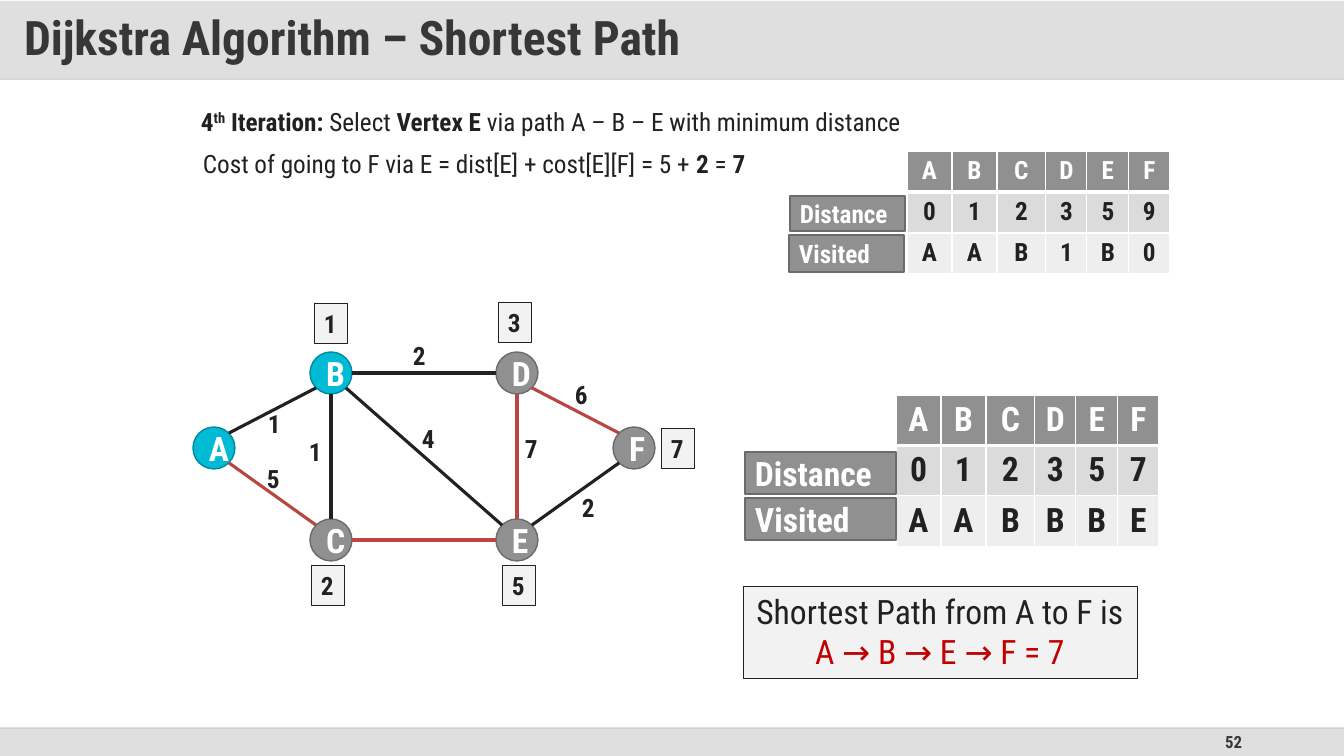
from dataclasses import dataclass

from lxml import etree
from pptx import Presentation
from pptx import util as u
from pptx.dml.color import RGBColor
from pptx.enum import shapes, text
from pptx.oxml.ns import qn

PX = 914400 / 100.8
LEFT, CENTER, RIGHT = text.PP_ALIGN.LEFT, text.PP_ALIGN.CENTER, text.PP_ALIGN.RIGHT
TOP, MIDDLE = text.MSO_ANCHOR.TOP, text.MSO_ANCHOR.MIDDLE
RECT, OVAL = shapes.MSO_SHAPE.RECTANGLE, shapes.MSO_SHAPE.OVAL


@dataclass(frozen=True)
class Theme:
    font: str = "Roboto Condensed"
    ink: str = "212121"
    heading: str = "373737"
    white: str = "FFFFFF"
    band: str = "C0C0C0"
    footer: str = "DFDFDF"
    header_rule: str = "D9D9D9"
    footer_rule: str = "BFBFBF"
    gray: str = "909090"
    gray_line: str = "6B6B6B"
    cyan: str = "00BBD3"
    cyan_line: str = "008A9C"
    unused_edge: str = "B84742"
    answer: str = "C00000"
    panel: str = "F2F2F2"
    rows: tuple = ("909090", "DBDBDB", "EEEEEE")
    title_size: int = 34
    large: int = 24
    body: int = 18
    small: int = 12


T = Theme()
NODES = {"A": (214, 448), "B": (331, 373), "C": (331, 540),
         "D": (517, 373), "E": (517, 540), "F": (634, 448)}
RADIUS = 21
USED_EDGES = ("AB", "BD", "BC", "BE", "EF")
UNUSED_EDGES = ("DF", "AC", "CE", "DE")
WEIGHTS = [("1", 258, 403), ("1", 299, 431), ("5", 257, 458), ("2", 403, 335),
           ("4", 412, 418), ("7", 515, 428), ("6", 565, 374), ("2", 572, 487)]
DISTANCES = [("1", 314, 303), ("3", 498, 302), ("2", 311, 565),
             ("5", 502, 565), ("7", 661, 428)]
COLUMNS = (45, 45, 49, 41, 42, 41)


def emu(*px):
    return [u.Emu(round(v * PX)) for v in px]


def rgb(value):
    return RGBColor.from_string(value)


def set_alpha(sp, percent):
    """Make the first colour of a shape partly transparent."""
    color = sp._element.spPr.find(".//" + qn("a:srgbClr"))
    etree.SubElement(color, qn("a:alpha")).set("val", str(percent * 1000))


def write(tf, *paragraphs, size=T.body, color=T.ink, bold=False, align=LEFT,
          anchor=TOP, wrap=True, grow=False):
    """Fill a frame; a paragraph is a string or a list of (text, changes) runs."""
    tf.word_wrap = wrap
    tf.vertical_anchor = anchor
    tf.auto_size = text.MSO_AUTO_SIZE.SHAPE_TO_FIT_TEXT if grow else text.MSO_AUTO_SIZE.NONE
    for i, runs in enumerate(paragraphs):
        p = tf.paragraphs[0] if i == 0 else tf.add_paragraph()
        p.alignment = align
        for words, changes in [(runs, {})] if isinstance(runs, str) else runs:
            r = p.add_run()
            r.text = words
            r.font.name = T.font
            r.font.size = u.Pt(size)
            r.font.bold = changes.get("bold", bold)
            r.font.color.rgb = rgb(changes.get("color", color))
            if "baseline" in changes:
                r._r.get_or_add_rPr().set("baseline", str(changes["baseline"]))


def add_text(s, box, *paragraphs, **fmt):
    write(s.shapes.add_textbox(*emu(*box)).text_frame, *paragraphs, **fmt)


def add_box(s, kind, box, fill, line, *paragraphs, width=1, **fmt):
    sp = s.shapes.add_shape(kind, *emu(*box))
    sp.shadow.inherit = False
    sp.fill.solid()
    sp.fill.fore_color.rgb = rgb(fill)
    if line:
        sp.line.color.rgb = rgb(line)
        sp.line.width = u.Pt(width)
    else:
        sp.line.fill.background()
    write(sp.text_frame, *paragraphs, **fmt)


def add_line(s, start, end, color, width=1):
    cxn = s.shapes.add_connector(shapes.MSO_CONNECTOR.STRAIGHT, *emu(*start, *end))
    cxn.line.color.rgb = rgb(color)
    cxn.line.width = u.Pt(width)
    etree.SubElement(cxn._element.spPr, qn("a:effectLst"))
    return cxn


def rim_point(node, toward):
    """Point on a node's rim, in whichever of eight directions faces the other node."""
    (x, y), (x2, y2) = NODES[node], NODES[toward]
    dx, dy = (x2 > x) - (x2 < x), (y2 > y) - (y2 < y)
    reach = RADIUS * (0.71 if dx and dy else 1)
    return x + dx * reach, y + dy * reach


def add_node(s, name):
    x, y = NODES[name]
    fill, line = (T.cyan, T.cyan_line) if name in "AB" else (T.gray, T.gray_line)
    add_box(s, OVAL, (x - RADIUS, y - RADIUS, 2 * RADIUS, 2 * RADIUS), fill, line, name,
            size=T.large, color=T.white, bold=True, align=CENTER, anchor=MIDDLE)


def add_borders(cell, row):
    """White borders, with a thick one between the header and the first row."""
    tc_pr = cell._tc.get_or_add_tcPr()
    for side in "LRTB":
        thick = (side, row) in (("B", 0), ("T", 1))
        ln = etree.SubElement(tc_pr, qn(f"a:ln{side}"), w=str(u.Pt(3 if thick else 1)))
        fill = etree.SubElement(ln, qn("a:solidFill"))
        etree.SubElement(fill, qn("a:srgbClr"), val=T.white)


def add_distance_table(s, x, y, row_height, size, *rows):
    frame = s.shapes.add_table(len(rows), len(COLUMNS),
                               *emu(x, y, sum(COLUMNS), row_height * len(rows)))
    table = frame.table
    for column, width in zip(table.columns, COLUMNS):
        column.width = emu(width)[0]
    for i, values in enumerate(rows):
        table.rows[i].height = emu(row_height)[0]
        for j, value in enumerate(values):
            cell = table.cell(i, j)
            add_borders(cell, i)
            cell.fill.solid()
            cell.fill.fore_color.rgb = rgb(T.rows[i])
            write(cell.text_frame, value, size=size, bold=True, align=CENTER,
                  color=T.ink if i else T.white)


def add_row_label(s, box, label, size):
    add_box(s, RECT, box, T.gray, T.gray_line, label,
            size=size, color=T.white, bold=True, anchor=MIDDLE)


def add_title(s, words):
    title = s.shapes.title
    title.left, title.top, title.width, title.height = emu(0, 1, 1344, 78)
    title.fill.solid()
    title.fill.fore_color.rgb = rgb(T.band)
    set_alpha(title, 50)
    tf = title.text_frame
    tf.margin_left, tf.margin_right, tf.margin_top, tf.margin_bottom = emu(24, 24, 12, 12)
    write(tf, words, size=T.title_size, color=T.heading, bold=True, anchor=MIDDLE)
    tf.paragraphs[0].line_spacing = 0.9


def add_footer(s, number):
    add_box(s, RECT, (0, 728, 1344, 28), T.footer, None)
    add_line(s, (0, 79), (1344, 79), T.header_rule)
    set_alpha(add_line(s, (0, 728), (1344, 728), T.footer_rule), 70)
    add_text(s, (950, 728, 302, 28), number, size=T.small, color=T.heading,
             bold=True, align=RIGHT, anchor=MIDDLE)


def add_graph(s):
    for name in NODES:
        add_node(s, name)
    for edges, color in ((UNUSED_EDGES, T.unused_edge), (USED_EDGES, T.ink)):
        for a, b in edges:
            add_line(s, rim_point(a, b), rim_point(b, a), color, 2.25)
    for weight, x, y in WEIGHTS:
        add_text(s, (x, y, 33, 40), weight, bold=True, wrap=False, grow=True)
    for distance, x, y in DISTANCES:
        add_box(s, RECT, (x, y, 33, 40), T.panel, T.ink, distance,
                width=0.5, bold=True, wrap=False, grow=True)


def main():
    prs = Presentation()
    prs.slide_width, prs.slide_height = emu(1344, 756)
    s = prs.slides.add_slide(prs.slide_layouts[5])
    strong = {"bold": True}

    add_title(s, "Dijkstra Algorithm – Shortest Path")
    add_footer(s, "52")
    add_text(s, (191, 101, 739, 40),
             [("4", strong), ("th", {"bold": True, "baseline": 30000}),
              (" Iteration: ", strong), ("Select ", {}), ("Vertex E", strong),
              (" via path A – B – E with minimum distance", {})], wrap=False, grow=True)
    add_text(s, (193, 143, 577, 40),
             [("Cost of going to F via E = dist[E] + cost[E][F] = 5 + ", {}),
              ("2", strong), (" = ", {}), ("7", strong)], wrap=False, grow=True)

    add_distance_table(s, 907, 151, 41, T.body, "ABCDEF", "012359", "AAB1B0")
    add_row_label(s, (790, 196, 115, 35), "Distance", T.body)
    add_row_label(s, (789, 235, 115, 37), "Visited", T.body)
    add_graph(s)
    add_distance_table(s, 896, 395, 50, T.large, "ABCDEF", "012357", "AABBBE")
    add_row_label(s, (745, 452, 151, 42), "Distance", T.large)
    add_row_label(s, (745, 498, 151, 42), "Visited", T.large)
    add_box(s, RECT, (743, 586, 394, 92), T.panel, T.ink, "Shortest Path from A to F is",
            [("A → B → E → F = 7", {"color": T.answer})],
            width=0.5, size=T.large, align=CENTER, wrap=False, grow=True)
    prs.save("out.pptx")


if __name__ == "__main__":
    main()
